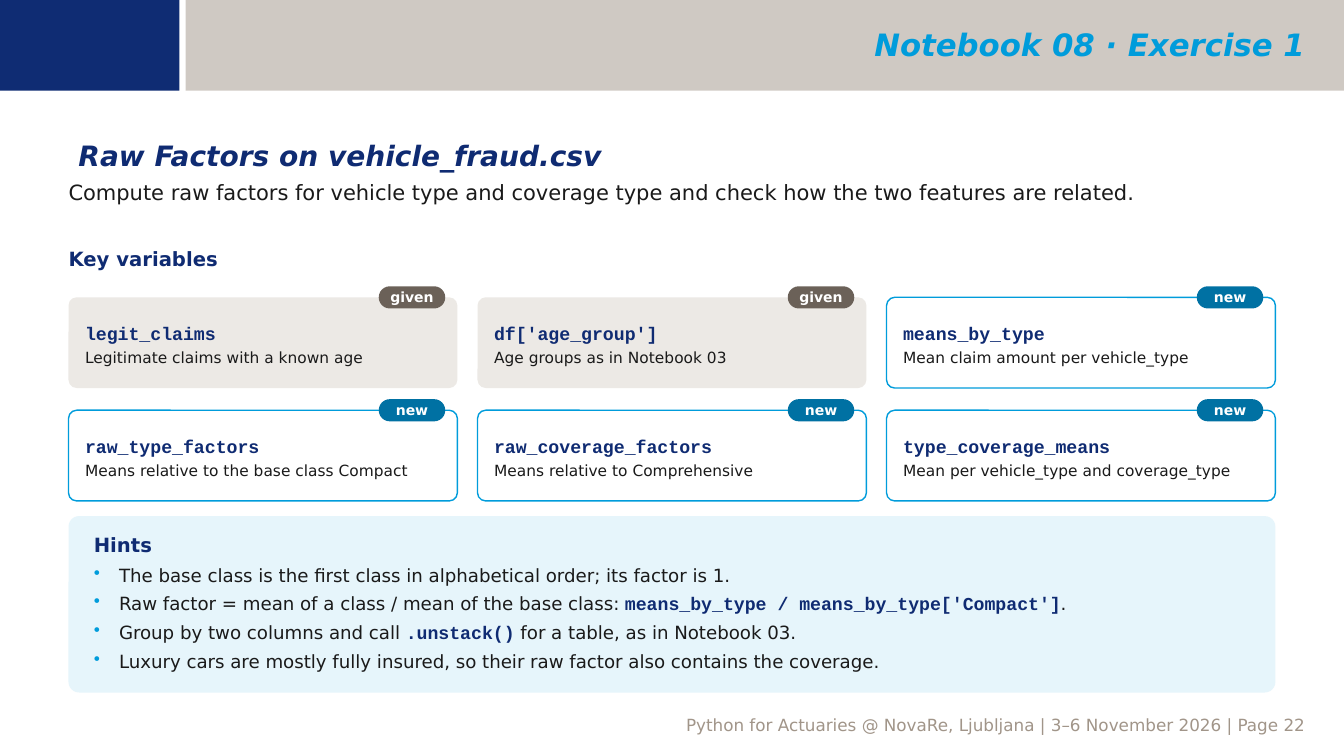
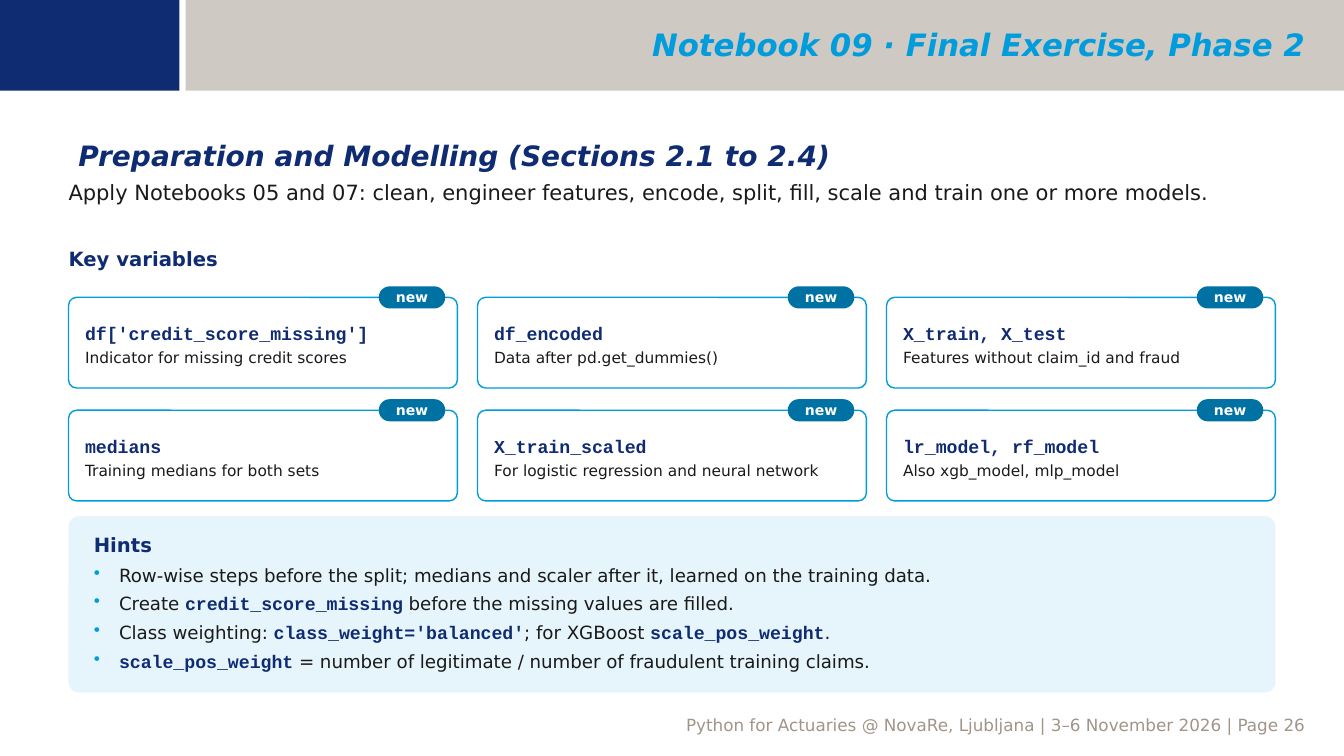
from lxml.etree import SubElement
from pptx import Presentation
from pptx.dml.color import RGBColor
from pptx.enum.shapes import MSO_SHAPE
from pptx.enum.text import MSO_ANCHOR, PP_ALIGN
from pptx.oxml.ns import qn
from pptx.util import Inches, Pt

COLORS = {
    "navy_band": "0F2C73", "navy": "0F2B72", "sky": "009CDB", "taupe": "A19589",
    "ink": "1A1A1A", "white": "FFFFFF", "stone": "ECE9E5", "ice": "E6F5FB",
    "given": "6B6158", "new": "0071A3",
}
SANS, MONO = "DejaVu Sans", "Courier New"
FOOTER = "Python for Actuaries @ NovaRe, Ljubljana | 3–6 November 2026 | Page {}"
LEFT, WIDTH = 0.68, 11.97
DEFAULT_INSETS = (0.1, 0.05, 0.1, 0.05)
NO_INSETS = (0, 0, 0, 0)

SLIDES = [
    {
        "page": 22,
        "header": "Notebook 08 · Exercise 1",
        "title": "Raw Factors on vehicle_fraud.csv",
        "task": "Compute raw factors for vehicle type and coverage type and check "
                "how the two features are related.",
        "variables": [
            ("legit_claims", "Legitimate claims with a known age", "given"),
            ("df['age_group']", "Age groups as in Notebook 03", "given"),
            ("means_by_type", "Mean claim amount per vehicle_type", "new"),
            ("raw_type_factors", "Means relative to the base class Compact", "new"),
            ("raw_coverage_factors", "Means relative to Comprehensive", "new"),
            ("type_coverage_means", "Mean per vehicle_type and coverage_type", "new"),
        ],
        "hints": [
            "The base class is the first class in alphabetical order; its factor is 1.",
            "Raw factor = mean of a class / mean of the base class: "
            "`means_by_type / means_by_type['Compact']`.",
            "Group by two columns and call `.unstack()` for a table, as in Notebook 03.",
            "Luxury cars are mostly fully insured, so their raw factor also contains "
            "the coverage.",
        ],
    },
    {
        "page": 26,
        "header": "Notebook 09 · Final Exercise, Phase 2",
        "title": "Preparation and Modelling (Sections 2.1 to 2.4)",
        "task": "Apply Notebooks 05 and 07: clean, engineer features, encode, split, "
                "fill, scale and train one or more models.",
        "variables": [
            ("df['credit_score_missing']", "Indicator for missing credit scores", "new"),
            ("df_encoded", "Data after pd.get_dummies()", "new"),
            ("X_train, X_test", "Features without claim_id and fraud", "new"),
            ("medians", "Training medians for both sets", "new"),
            ("X_train_scaled", "For logistic regression and neural network", "new"),
            ("lr_model, rf_model", "Also xgb_model, mlp_model", "new"),
        ],
        "hints": [
            "Row-wise steps before the split; medians and scaler after it, learned on "
            "the training data.",
            "Create `credit_score_missing` before the missing values are filled.",
            "Class weighting: `class_weight='balanced'`; for XGBoost `scale_pos_weight`.",
            "`scale_pos_weight` = number of legitimate / number of fraudulent training "
            "claims.",
        ],
    },
]


def rgb(name):
    """Return the named colour."""
    return RGBColor.from_string(COLORS[name])


def style_font(font, size, color, face=SANS, bold=False, italic=False):
    """Set every attribute of a font."""
    font.name, font.size, font.bold, font.italic = face, Pt(size), bold, italic
    font.color.rgb = rgb(color)


def prepare_frame(shape, insets, anchor=MSO_ANCHOR.TOP):
    """Set wrapping, insets and anchor, and return the text frame."""
    frame = shape.text_frame
    frame.word_wrap = True
    frame.vertical_anchor = anchor
    (frame.margin_left, frame.margin_top,
     frame.margin_right, frame.margin_bottom) = map(Inches, insets)
    return frame


def write(paragraph, text, size, color, align=PP_ALIGN.LEFT, **style):
    """Fill a paragraph with text of one style."""
    paragraph.text = text
    paragraph.alignment = align
    style_font(paragraph.font, size, color, **style)


def add_label(slide, box, text, size, color, insets=NO_INSETS,
              anchor=MSO_ANCHOR.TOP, **style):
    """Add a one-paragraph text box."""
    shape = slide.shapes.add_textbox(*map(Inches, box))
    frame = prepare_frame(shape, insets, anchor)
    write(frame.paragraphs[0], text, size, color, **style)


def add_panel(slide, box, fill, radius=None, line=None):
    """Add a filled rectangle, rounded when a radius is given."""
    kind = MSO_SHAPE.RECTANGLE if radius is None else MSO_SHAPE.ROUNDED_RECTANGLE
    shape = slide.shapes.add_shape(kind, *map(Inches, box))
    shape.shadow.inherit = False
    shape.fill.solid()
    shape.fill.fore_color.rgb = rgb(fill)
    if line:
        shape.line.color.rgb = rgb(line)
        shape.line.width = Pt(1)
    else:
        shape.line.fill.background()
    if radius is not None:
        shape.adjustments[0] = radius
    return shape


def add_frame(slide, header, page):
    """Add the footer, the top bands and the header text."""
    add_label(slide, (0.76, 7.05, 12.29, 0.09), FOOTER.format(page), 12, "taupe",
              DEFAULT_INSETS, align=PP_ALIGN.RIGHT)
    band = add_panel(slide, (1.84, 0, 11.49, 0.9), "taupe")
    color = band.fill._xPr.find(qn("a:solidFill"))[0]
    SubElement(color, qn("a:alpha"), val="50000")
    add_panel(slide, (0, 0, 1.78, 0.9), "navy_band")
    add_label(slide, (2.02, 0.02, 11.02, 0.84), header, 22, "sky", DEFAULT_INSETS,
              MSO_ANCHOR.MIDDLE, align=PP_ALIGN.RIGHT, bold=True, italic=True)


def add_card(slide, box, name, meaning, status):
    """Add a variable card with its status badge on the top edge."""
    left, top, width, _ = box
    fill, line = ("stone", None) if status == "given" else ("white", "sky")
    card = add_panel(slide, box, fill, 0.09, line)
    frame = prepare_frame(card, (0.14, 0.1, 0.14, 0.06), MSO_ANCHOR.MIDDLE)
    write(frame.paragraphs[0], name, 13, "navy", face=MONO, bold=True)
    paragraph = frame.add_paragraph()
    paragraph.space_before = Pt(3)
    write(paragraph, meaning, 11, "ink")

    badge_width, badge_height = 0.66, 0.22
    badge_box = (left + width - badge_width - 0.12, top - badge_height / 2,
                 badge_width, badge_height)
    badge = add_panel(slide, badge_box, status, 0.5)
    frame = prepare_frame(badge, NO_INSETS, MSO_ANCHOR.MIDDLE)
    write(frame.paragraphs[0], status, 10, "white", PP_ALIGN.CENTER, bold=True)


def add_card_grid(slide, box, variables, columns=3, gap_x=0.2, gap_y=0.22):
    """Lay out the variable cards in equal columns and rows."""
    left, top, width, height = box
    rows = -(-len(variables) // columns)
    card_width = (width - gap_x * (columns - 1)) / columns
    card_height = (height - gap_y * (rows - 1)) / rows
    for index, variable in enumerate(variables):
        row, column = divmod(index, columns)
        card_box = (left + column * (card_width + gap_x),
                    top + row * (card_height + gap_y), card_width, card_height)
        add_card(slide, card_box, *variable)


def add_bullet(paragraph):
    """Give a paragraph a coloured bullet with a hanging indent."""
    properties = paragraph._p.get_or_add_pPr()
    properties.set("marL", str(Inches(0.25)))
    properties.set("indent", str(-Inches(0.25)))
    bullet_color = SubElement(properties, qn("a:buClr"))
    SubElement(bullet_color, qn("a:srgbClr"), val=COLORS["sky"])
    SubElement(properties, qn("a:buChar"), char="•")


def add_hints(slide, box, hints):
    """Add the hints panel, where backticks enclose code."""
    panel = add_panel(slide, box, "ice", 0.06)
    frame = prepare_frame(panel, (0.22, 0.14, 0.22, 0.1))
    write(frame.paragraphs[0], "Hints", 14, "navy", bold=True)
    for hint in hints:
        paragraph = frame.add_paragraph()
        paragraph.alignment = PP_ALIGN.LEFT
        paragraph.space_before = Pt(5)
        add_bullet(paragraph)
        style_font(paragraph.font, 13, "ink")
        for index, part in enumerate(hint.split("`")):
            if part:
                run = paragraph.add_run()
                run.text = part
                if index % 2:
                    style_font(run.font, 13, "navy", face=MONO, bold=True)


def add_exercise_slide(presentation, content):
    """Build one exercise slide."""
    slide = presentation.slides.add_slide(presentation.slide_layouts[6])
    add_frame(slide, content["header"], content["page"])
    add_label(slide, (LEFT, 1.32, WIDTH, 0.4), content["title"], 20, "navy",
              DEFAULT_INSETS, bold=True, italic=True)
    add_label(slide, (LEFT, 1.78, WIDTH, 0.62), content["task"], 15, "ink")
    add_label(slide, (LEFT, 2.45, 6, 0.32), "Key variables", 14, "navy", bold=True)
    add_card_grid(slide, (LEFT, 2.95, WIDTH, 2.02), content["variables"])
    add_hints(slide, (LEFT, 5.12, WIDTH, 1.75), content["hints"])


def main():
    """Build and save the presentation."""
    presentation = Presentation()
    presentation.slide_width = Inches(13.33)
    presentation.slide_height = Inches(7.5)
    for content in SLIDES:
        add_exercise_slide(presentation, content)
    presentation.save("out.pptx")


if __name__ == "__main__":
    main()
